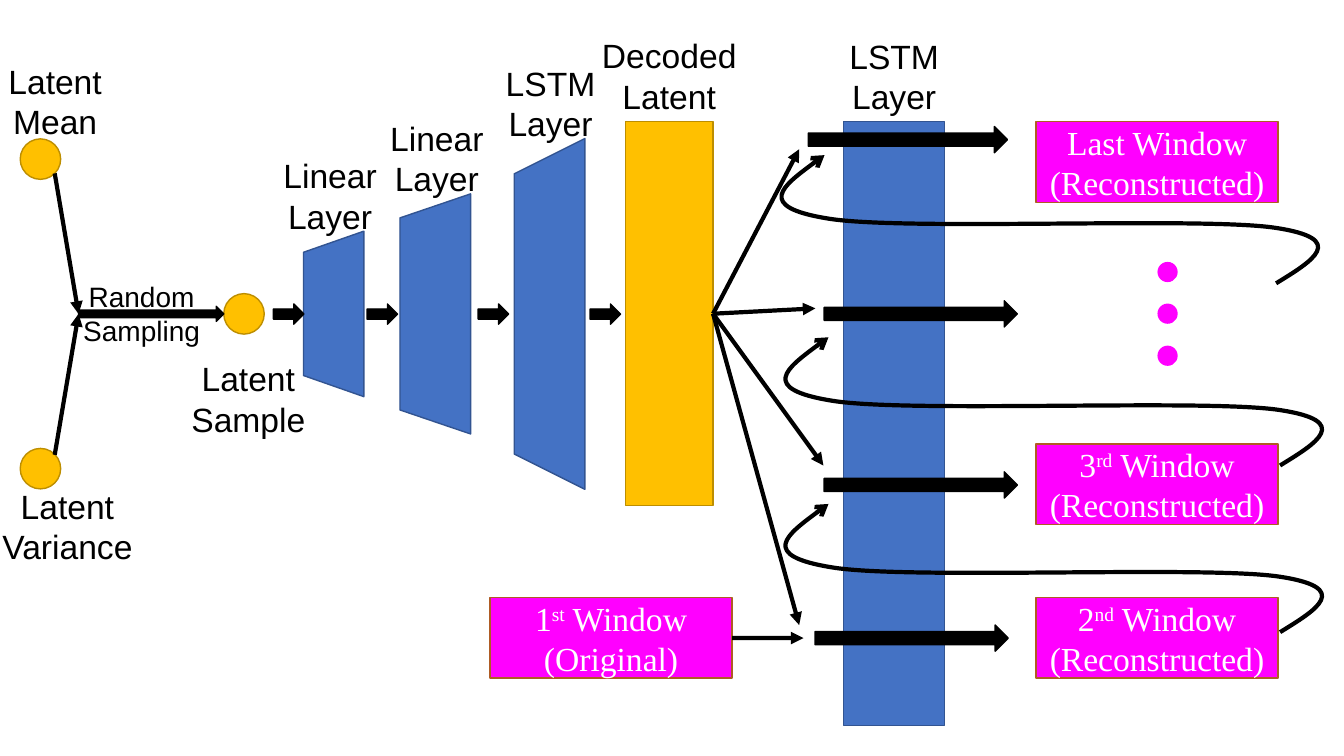
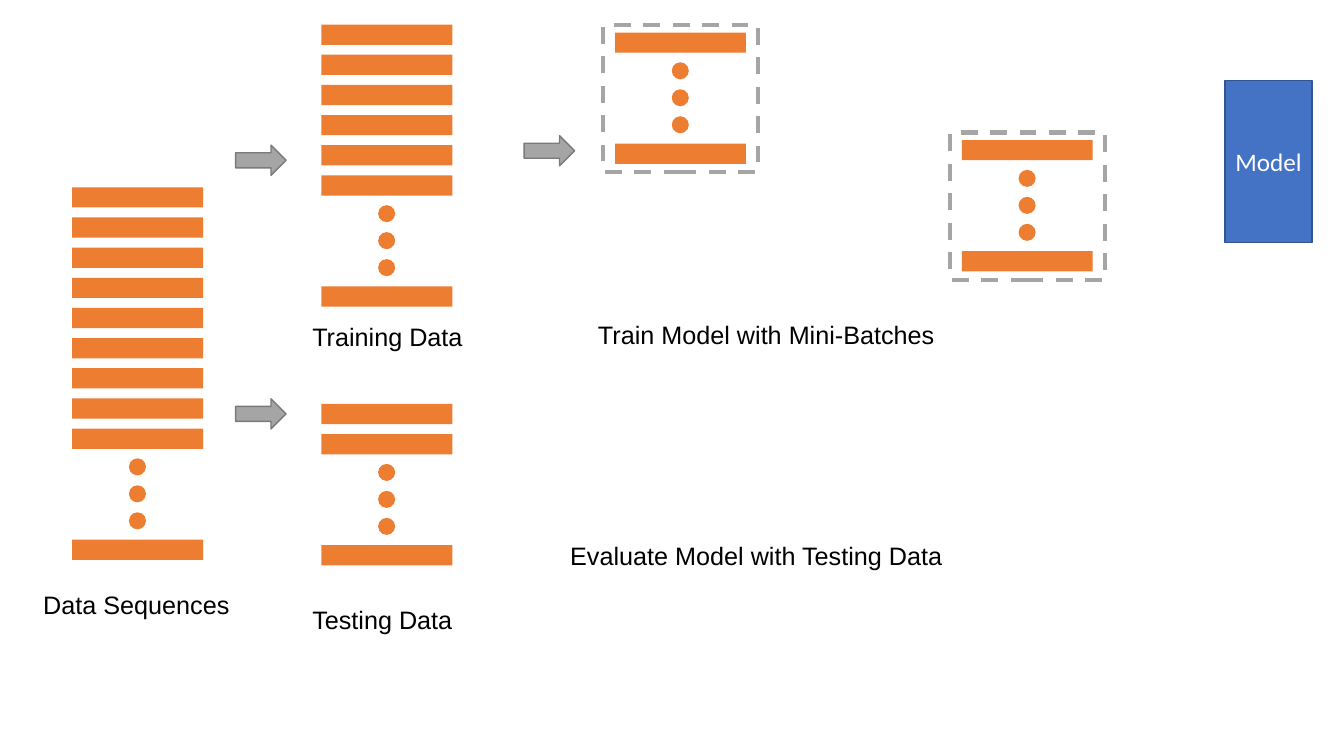
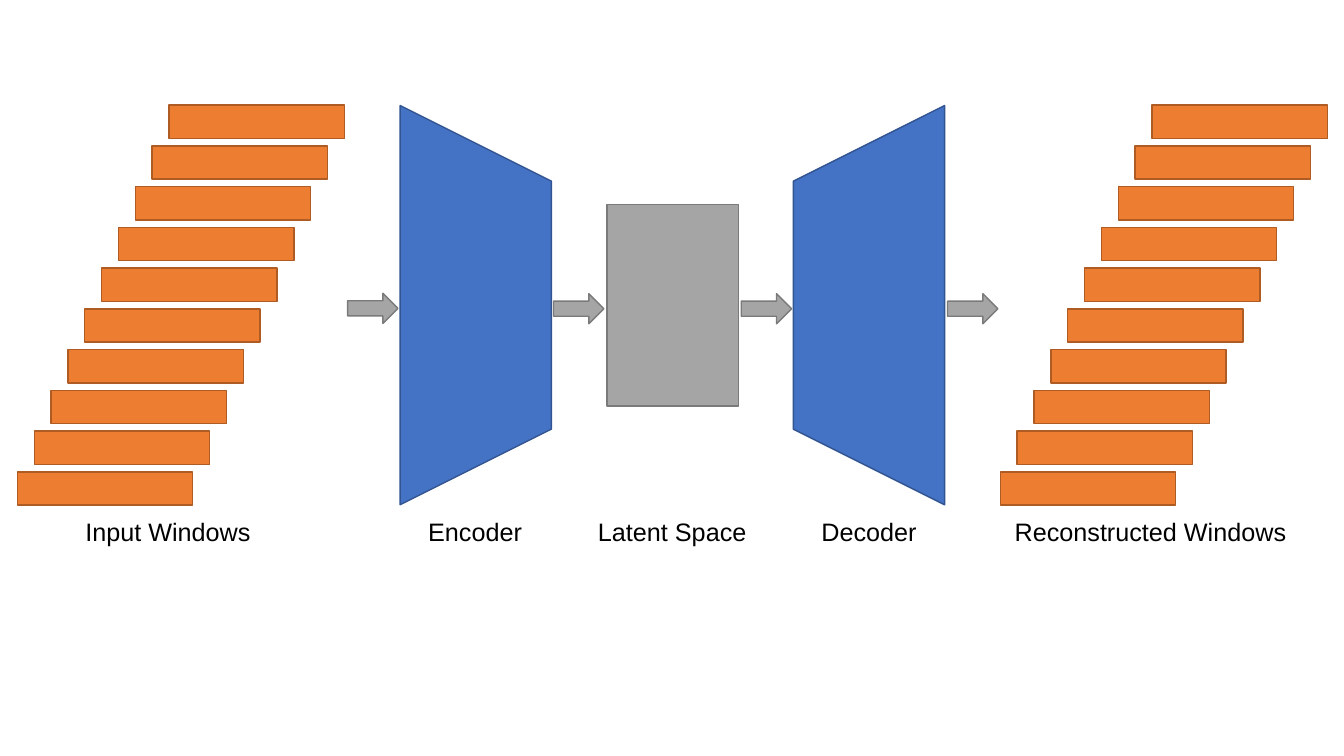
from lxml import etree
from pptx import Presentation
from pptx.dml.color import RGBColor
from pptx.enum.dml import MSO_LINE
from pptx.enum.shapes import MSO_CONNECTOR, MSO_SHAPE
from pptx.enum.text import MSO_ANCHOR, MSO_AUTO_SIZE, PP_ALIGN
from pptx.oxml.ns import qn
from pptx.util import Cm, Pt

COLORS = {
    "black": "000000", "white": "FFFFFF", "magenta": "FF00FF",
    "gold": "FFC000", "gold_edge": "BD8E00",
    "blue": "4472C4", "blue_edge": "325491",
    "orange": "ED7D31", "orange_edge": "AF5C24",
    "gray": "A5A5A5", "gray_edge": "7A7A7A",
}

AXIS = 7.91
LATENT_CIRCLES = [(5.64, 7.4), (0.51, 3.5), (0.51, 11.3)]
DECODER_LAYERS = [
    (8.41, 1.52, 4.17, 0.35),
    (10.97, 1.78, 6.05, 0.34),
    (13.85, 1.78, 8.84, 0.5),
]
WINDOWS = [
    (12.35, 15.06, ("1", "st", " Window"), "(Original)"),
    (26.11, 15.06, ("2", "nd", " Window"), "(Reconstructed)"),
    (26.11, 11.19, ("3", "rd", " Window"), "(Reconstructed)"),
    (26.11, 3.07, ("Last Window",), "(Reconstructed)"),
]
FEEDBACK_CORNERS = [(19.86, 12.7), (19.86, 8.5), (19.76, 3.91)]
FEEDBACK_SIZE = (13.46, 3.23)
FEEDBACK_CURVE = [
    (12.4, 3.23), (13.31, 2.67), (14.25, 2.11), (12.37, 1.83),
    (10.49, 1.55), (3.02, 1.91), (1.12, 1.6),
    (-0.76, 1.3), (0.13, 0.64), (1.02, 0),
]
FAN_ENDS = [(20.75, 11.73), (20.14, 15.75), (20.55, 7.77), (20.14, 3.76)]
LSTM_ARROWS = [
    (20.77, 11.89, 4.87), (20.54, 15.75, 4.87),
    (20.77, 7.58, 4.87), (20.37, 3.19, 5.02),
]
STEP_ARROWS = [6.89, 9.25, 12.05, 14.87]
LATENT_LINKS = [(1.38, 4.37), (1.38, 11.46)]
NETWORK_LABELS = [
    (["Latent", "Sample"], 4.56, 8.9, 3.4, 24, True),
    (["Decoded Latent"], 14.87, 0.76, 3.99, 24, True),
    (["Linear", "Layer"], 6.87, 3.79, 2.9, 24, False),
    (["Linear", "Layer"], 9.56, 2.85, 2.9, 24, False),
    (["LSTM", "Layer"], 12.48, 1.45, 2.79, 24, False),
    (["LSTM", "Layer"], 21.14, 0.78, 2.79, 24, False),
    (["Latent", "Mean"], -0.06, 1.41, 2.9, 24, False),
    (["Latent", "Variance"], -0.22, 12.12, 3.84, 24, False),
    (["Random", "Sampling"], 1.69, 6.93, 3.76, 20, True),
]

STACKS = [(1.82, 4.72, 9), (8.1, 0.62, 6), (8.1, 10.18, 2)]
BATCHES = [(15.2, 0.63), (23.94, 3.34)]
DATA_ARROWS = [(5.94, 3.66), (5.94, 10.05), (13.21, 3.42)]
DATA_LABELS = [
    ("Data Sequences", 0.84, 14.73, 5.26),
    ("Training Data", 7.62, 7.98, 4.34),
    ("Testing Data", 7.62, 15.1, 4.06),
    ("Train Model with Mini-Batches", 14.82, 7.92, 9.07),
    ("Evaluate Model with Testing Data", 14.12, 13.5, 9.98),
]

WINDOW_STAIRS = [(4.26, 2.65), (29.03, 2.65)]
STAIR_COUNT = 10
STAIR_RUN, STAIR_RISE = 3.82, 9.24
CODERS = [(11.99, 90), (21.9, 270)]
FLOW_ARROWS = [(8.76, 7.39), (13.95, 7.4), (18.68, 7.4), (23.88, 7.4)]
FLOW_LABELS = [
    ("Input Windows", 1.9, 4.72),
    ("Encoder", 10.54, 2.9),
    ("Latent Space", 14.82, 4.29),
    ("Decoder", 20.45, 2.95),
    ("Reconstructed Windows", 25.32, 7.42),
]


def color(name):
    return RGBColor.from_string(COLORS[name])


def add_shape(shapes, kind, left, top, width, height, fill, edge=None):
    shape = shapes.add_shape(kind, Cm(left), Cm(top), Cm(width), Cm(height))
    shape.shadow.inherit = False
    if fill:
        shape.fill.solid()
        shape.fill.fore_color.rgb = color(fill)
    else:
        shape.fill.background()
    if edge:
        shape.line.color.rgb = color(edge)
        shape.line.width = Pt(1)
    else:
        shape.line.fill.background()
    return shape


def add_trapezoid(shapes, center_x, center_y, width, height, slope, rotation):
    shape = add_shape(shapes, MSO_SHAPE.TRAPEZOID, center_x - height / 2, center_y - width / 2,
                      height, width, "blue", "blue_edge")
    shape.adjustments[0] = slope
    shape.rotation = rotation


def add_gray_arrow(shapes, left, top):
    add_shape(shapes, MSO_SHAPE.RIGHT_ARROW, left, top, 1.27, 0.76, "gray", "gray_edge")


def add_black_arrow(shapes, left, top, width, height):
    add_shape(shapes, MSO_SHAPE.RIGHT_ARROW, left, top, width, height, "black", "black")


def style_paragraph(paragraph, size, font, font_color, alignment):
    paragraph.alignment = alignment
    paragraph.font.size = Pt(size)
    paragraph.font.name = font
    paragraph.font.color.rgb = color(font_color)


def add_label(shapes, lines, left, top, width, height=1.02, size=18,
              alignment=PP_ALIGN.LEFT, wrap=False):
    frame = shapes.add_textbox(Cm(left), Cm(top), Cm(width), Cm(height)).text_frame
    frame.word_wrap = wrap
    frame.auto_size = MSO_AUTO_SIZE.SHAPE_TO_FIT_TEXT
    frame.text = "\n".join(lines)
    for paragraph in frame.paragraphs:
        style_paragraph(paragraph, size, "Arial", "black", alignment)


def style_stroke(shape, head):
    shape.line.color.rgb = color("black")
    shape.line.width = Pt(3)
    line = shape._element.spPr.find(qn("a:ln"))
    etree.SubElement(line, qn("a:tailEnd")).set("type", head)


def add_link(shapes, start, end, source=None):
    points = [Cm(value) for value in (*start, *end)]
    connector = shapes.add_connector(MSO_CONNECTOR.STRAIGHT, *points)
    if source:
        connector.begin_connect(source, 3)
    style_stroke(connector, "triangle")
    etree.SubElement(connector._element.spPr, qn("a:effectLst"))


def add_path_command(outline, command, points):
    parent = etree.SubElement(outline, qn(command))
    for x, y in points:
        point = etree.SubElement(parent, qn("a:pt"))
        point.set("x", str(Cm(x)))
        point.set("y", str(Cm(y)))


def add_feedback(shapes, left, top):
    width, height = FEEDBACK_SIZE
    builder = shapes.build_freeform(Cm(left), Cm(top))
    builder.add_line_segments([(Cm(left + width), Cm(top + height))], close=False)
    curve = builder.convert_to_shape()
    outline = next(curve._element.iter(qn("a:path")))
    for command in list(outline):
        outline.remove(command)
    add_path_command(outline, "a:moveTo", FEEDBACK_CURVE[:1])
    for first in (1, 4, 7):
        add_path_command(outline, "a:cubicBezTo", FEEDBACK_CURVE[first:first + 3])
    curve.shadow.inherit = False
    curve.fill.background()
    style_stroke(curve, "arrow")


def add_window(shapes, left, top, heading, note):
    window = add_shape(shapes, MSO_SHAPE.RECTANGLE, left, top, 6.1, 2.03, "magenta", "orange_edge")
    frame = window.text_frame
    frame.vertical_anchor = MSO_ANCHOR.MIDDLE
    title = frame.paragraphs[0]
    for index, text in enumerate(heading):
        run = title.add_run()
        run.text = text
        if index == 1:
            run._r.get_or_add_rPr().set("baseline", "30000")
    frame.add_paragraph().text = note
    for paragraph in frame.paragraphs:
        style_paragraph(paragraph, 24, "Times New Roman", "white", PP_ALIGN.CENTER)
    return window


def add_stack(shapes, left, top, count):
    last_full = top + (count - 1) * 0.76
    for bar_top in [top + index * 0.76 for index in range(count)] + [last_full + 2.8]:
        add_shape(shapes, MSO_SHAPE.RECTANGLE, left, bar_top, 3.3, 0.51, "orange")
    for index in range(3):
        add_shape(shapes, MSO_SHAPE.OVAL, left + 1.43, last_full + 0.75 + index * 0.68,
                  0.43, 0.43, "orange")


def build_network(shapes):
    for left, top in LATENT_CIRCLES:
        add_shape(shapes, MSO_SHAPE.OVAL, left, top, 1.02, 1.02, "gold", "gold_edge")
    for center, width, height, slope in DECODER_LAYERS:
        add_trapezoid(shapes, center, AXIS, width, height, slope, 270)
    decoded = add_shape(shapes, MSO_SHAPE.RECTANGLE, 15.77, 3.07, 2.2, 9.67, "gold", "gold_edge")
    add_shape(shapes, MSO_SHAPE.RECTANGLE, 21.26, 3.07, 2.54, 15.21, "blue", "blue_edge")
    first_window = [add_window(shapes, *window) for window in WINDOWS][0]
    for top in (6.6, 7.65, 8.71):
        add_shape(shapes, MSO_SHAPE.OVAL, 29.17, top, 0.51, 0.51, "magenta")
    for corner in FEEDBACK_CORNERS:
        add_feedback(shapes, *corner)
    for end in FAN_ENDS:
        add_link(shapes, (17.97, AXIS), end, decoded)
    add_link(shapes, (18.45, 16.08), (20.25, 16.08), first_window)
    for left, top, width in LSTM_ARROWS:
        add_black_arrow(shapes, left, top, width, 0.66)
    for left in STEP_ARROWS:
        add_black_arrow(shapes, left, 7.66, 0.77, 0.51)
    add_black_arrow(shapes, 1.98, 7.72, 3.66, 0.38)
    for start in LATENT_LINKS:
        add_link(shapes, start, (1.98, AXIS))
    for lines, left, top, width, size, wrap in NETWORK_LABELS:
        height = 2.31 if size == 24 else 1.96
        add_label(shapes, lines, left, top, width, height, size, PP_ALIGN.CENTER, wrap)


def build_data_split(shapes):
    for stack in STACKS:
        add_stack(shapes, *stack)
    for left, top in DATA_ARROWS:
        add_gray_arrow(shapes, left, top)
    model = add_shape(shapes, MSO_SHAPE.RECTANGLE, 30.87, 2.03, 2.2, 4.08, "blue", "blue_edge")
    model.text_frame.text = "Model"
    model.text_frame.vertical_anchor = MSO_ANCHOR.MIDDLE
    style_paragraph(model.text_frame.paragraphs[0], 18, "Calibri", "white", PP_ALIGN.CENTER)
    for text, left, top, width in DATA_LABELS:
        add_label(shapes, [text], left, top, width)
    for left, top in BATCHES:
        batch = shapes.add_group_shape().shapes
        border = add_shape(batch, MSO_SHAPE.RECTANGLE, left, top, 3.91, 3.71, None, "gray")
        border.line.width = Pt(3)
        border.line.dash_style = MSO_LINE.DASH
        add_stack(batch, left + 0.3, top + 0.19, 1)


def build_autoencoder(shapes):
    diagram = shapes.add_group_shape().shapes
    for left, top in WINDOW_STAIRS:
        for index in range(STAIR_COUNT):
            share = index / (STAIR_COUNT - 1)
            add_shape(diagram, MSO_SHAPE.RECTANGLE, left - share * STAIR_RUN,
                      top + share * STAIR_RISE, 4.42, 0.84, "orange", "orange_edge")
    for center, rotation in CODERS:
        add_trapezoid(diagram, center, 7.69, 3.81, 10.06, 0.5, rotation)
    add_shape(diagram, MSO_SHAPE.RECTANGLE, 15.3, 5.16, 3.31, 5.07, "gray", "gray_edge")
    for left, top in FLOW_ARROWS:
        add_gray_arrow(diagram, left, top)
    for text, left, width in FLOW_LABELS:
        add_label(diagram, [text], left, 12.89, width)


def main():
    presentation = Presentation()
    presentation.slide_width = Cm(33.87)
    presentation.slide_height = Cm(19.05)
    blank_layout = presentation.slide_layouts[6]
    for build in (build_network, build_data_split, build_autoencoder):
        build(presentation.slides.add_slide(blank_layout).shapes)
    presentation.save("out.pptx")


if __name__ == "__main__":
    main()
